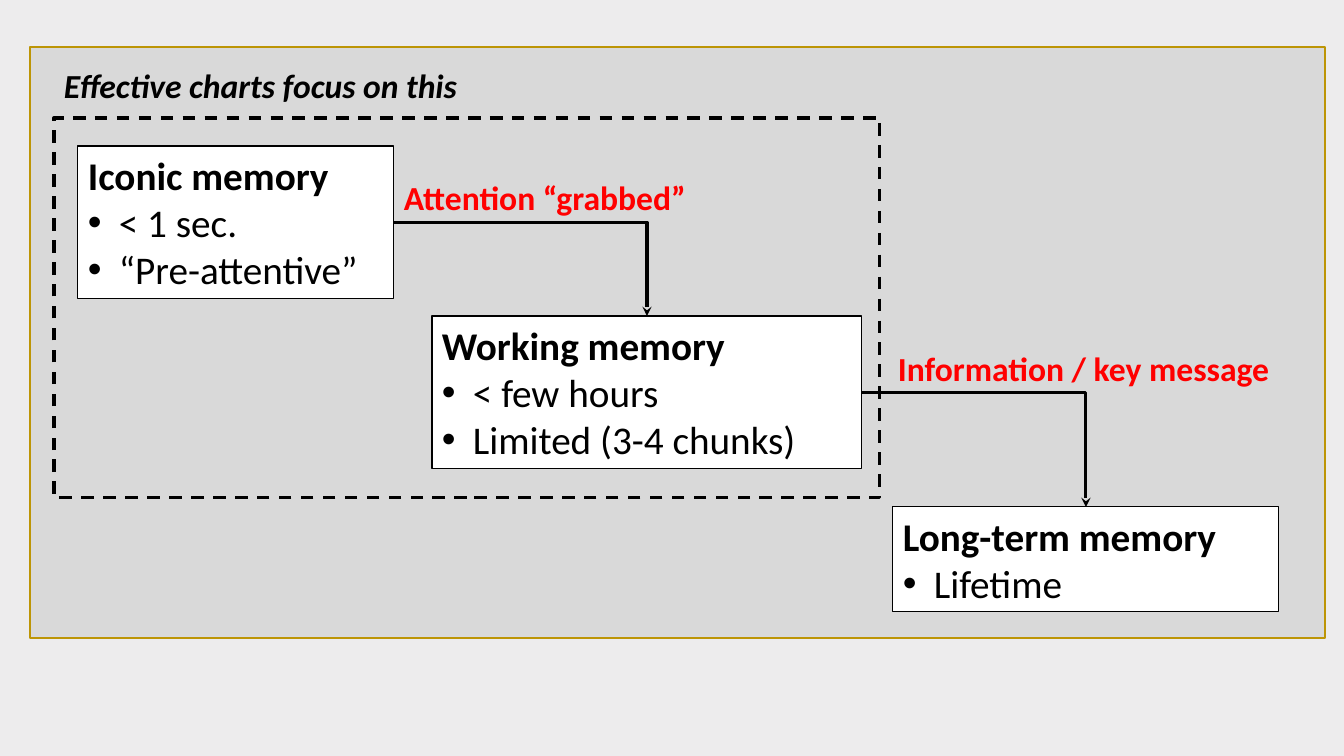
from lxml.etree import SubElement
from pptx import Presentation
from pptx.dml.color import RGBColor
from pptx.enum.dml import MSO_LINE
from pptx.enum.shapes import MSO_CONNECTOR, MSO_SHAPE
from pptx.enum.text import MSO_ANCHOR, MSO_AUTO_SIZE, PP_ALIGN
from pptx.oxml.ns import qn
from pptx.util import Emu, Pt

SCALE = 914400 / 100.8
COLORS = {
    "background": "EDECED",
    "panel": "D9D9D9",
    "gold": "BD9506",
    "white": "FFFFFF",
    "black": "000000",
    "red": "FF0000",
}
BULLET_INDENT = 31
TOP, RIGHT = 0, 3  # connection sites of a rectangle


def px(n):
    """Turn pixels into EMU."""
    return Emu(round(n * SCALE))


def rgb(name):
    """Look up a named colour."""
    return RGBColor.from_string(COLORS[name])


def write(p, text, size=28, color="black", bold=False, italic=False, bullet=False):
    """Put formatted text into a paragraph."""
    p.alignment = PP_ALIGN.LEFT
    r = p.add_run()
    r.text = text
    r.font.name = "Calibri"
    r.font.size = Pt(size)
    r.font.bold = bold
    r.font.italic = italic
    r.font.color.rgb = rgb(color)
    if bullet:
        pPr = p._p.get_or_add_pPr()
        pPr.set("marL", str(px(BULLET_INDENT)))
        pPr.set("indent", str(-px(BULLET_INDENT)))
        SubElement(pPr, qn("a:buFont")).set("typeface", "Arial")
        SubElement(pPr, qn("a:buChar")).set("char", "•")


class Diagram:
    """Draws the elements of the memory diagram on one slide."""

    def __init__(self, slide):
        """Keep the slide and colour its background."""
        self.s = slide
        fill = slide.background.fill
        fill.solid()
        fill.fore_color.rgb = rgb("background")

    def rect(self, x, y, w, h, fill=None, line="black", weight=0.75, dash=None):
        """Add a rectangle, unfilled unless a fill is named."""
        sp = self.s.shapes.add_shape(MSO_SHAPE.RECTANGLE, px(x), px(y), px(w), px(h))
        sp.shadow.inherit = False
        if fill:
            sp.fill.solid()
            sp.fill.fore_color.rgb = rgb(fill)
        else:
            sp.fill.background()
        sp.line.color.rgb = rgb(line)
        sp.line.width = Pt(weight)
        if dash:
            sp.line.dash_style = dash
        return sp

    def memory(self, x, y, w, h, title, *points):
        """Add a white box with a bold title and bullet points."""
        sp = self.rect(x, y, w, h, fill="white")
        tf = sp.text_frame
        tf.word_wrap = True
        tf.auto_size = MSO_AUTO_SIZE.SHAPE_TO_FIT_TEXT
        tf.vertical_anchor = MSO_ANCHOR.TOP
        write(tf.paragraphs[0], title, bold=True)
        for point in points:
            write(tf.add_paragraph(), point, bullet=True)
        return sp

    def label(self, x, y, w, text, **fmt):
        """Add a bold one-line label."""
        tf = self.s.shapes.add_textbox(px(x), px(y), px(w), px(50)).text_frame
        tf.word_wrap = False
        tf.auto_size = MSO_AUTO_SIZE.SHAPE_TO_FIT_TEXT
        write(tf.paragraphs[0], text, size=24, bold=True, **fmt)

    def arrow(self, start, end):
        """Join the right of one box to the top of the next with one bend."""
        cn = self.s.shapes.add_connector(MSO_CONNECTOR.ELBOW, 0, 0, 0, 0)
        cn.begin_connect(start, RIGHT)
        cn.end_connect(end, TOP)
        cn.line.color.rgb = rgb("black")
        cn.line.width = Pt(2.25)
        spPr = cn._element.spPr
        spPr.find(qn("a:prstGeom")).set("prst", "bentConnector2")
        SubElement(spPr.find(qn("a:ln")), qn("a:tailEnd")).set("type", "stealth")
        SubElement(spPr, qn("a:effectLst"))


prs = Presentation()
prs.slide_width, prs.slide_height = px(1344), px(756)
d = Diagram(prs.slides.add_slide(prs.slide_layouts[6]))

d.rect(30, 47, 1295, 591, fill="panel", line="gold", weight=1)
d.rect(54, 118, 826, 380, weight=2.25, dash=MSO_LINE.DASH)

iconic = d.memory(78, 146, 316, 153, "Iconic memory", "< 1 sec.", "“Pre-attentive”")
working = d.memory(432, 316, 430, 153, "Working memory",
                   "< few hours", "Limited (3-4 chunks)")
longterm = d.memory(893, 507, 386, 105, "Long-term memory", "Lifetime")
d.arrow(iconic, working)
d.arrow(working, longterm)

d.label(394, 172, 306, "Attention “grabbed”", color="red")
d.label(888, 343, 396, "Information / key message", color="red")
d.label(54, 60, 419, "Effective charts focus on this", italic=True)

prs.save("out.pptx")
